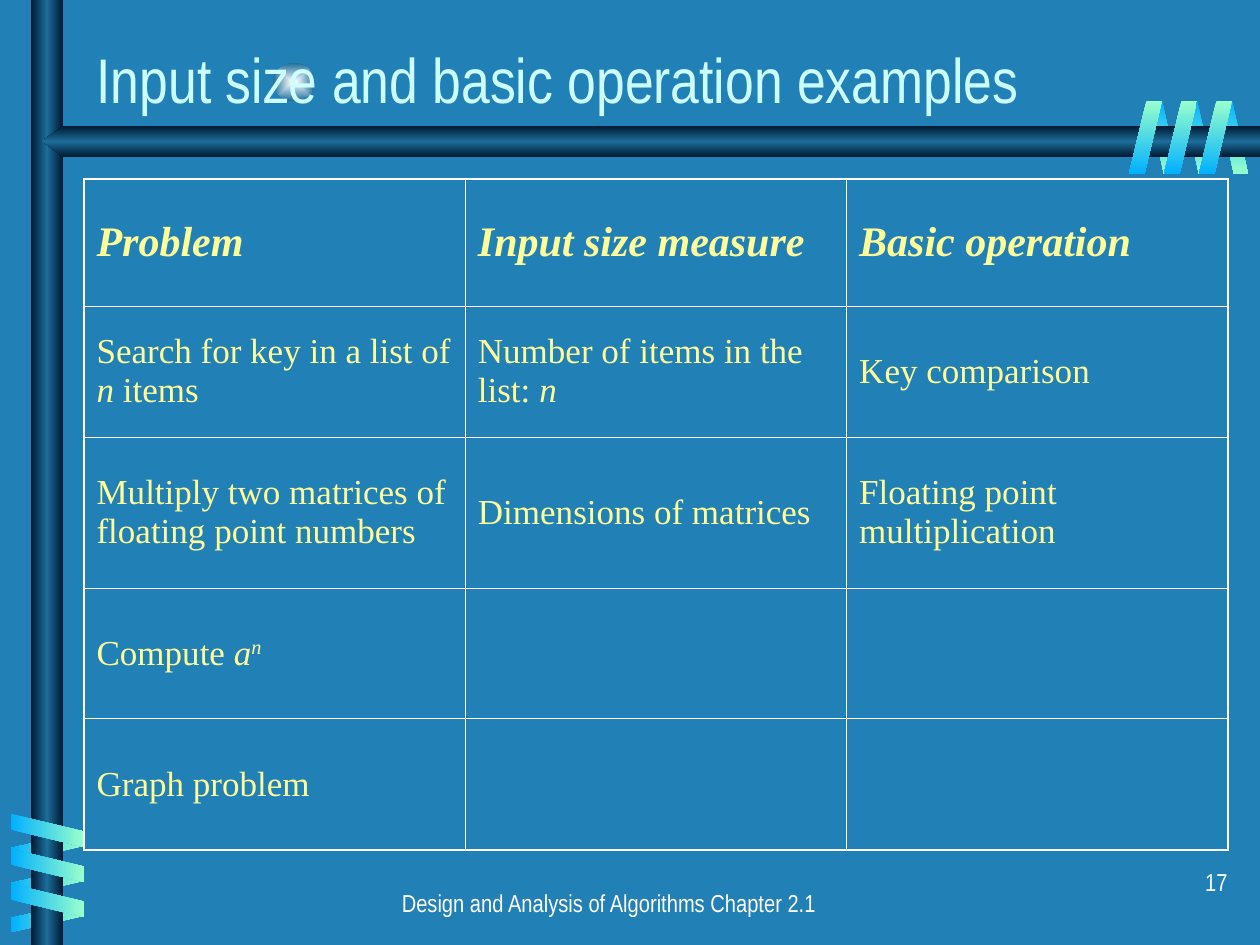
from lxml import etree
from pptx import Presentation
from pptx.dml.color import RGBColor
from pptx.enum.shapes import MSO_SHAPE
from pptx.enum.text import MSO_ANCHOR, MSO_AUTO_SIZE, PP_ALIGN
from pptx.oxml.ns import qn
from pptx.util import Pt

OVAL, RECT, SLANT = MSO_SHAPE.OVAL, MSO_SHAPE.RECTANGLE, MSO_SHAPE.PARALLELOGRAM
MIDDLE, BOTTOM = MSO_ANCHOR.MIDDLE, MSO_ANCHOR.BOTTOM
LEFT, CENTER, RIGHT = PP_ALIGN.LEFT, PP_ALIGN.CENTER, PP_ALIGN.RIGHT
NONE = MSO_AUTO_SIZE.NONE

PX = 914400 / 126
SANS, SERIF = "Arial Narrow", "Times New Roman"
BLUE, WHITE, CYAN, CREAM = "2181B7", "FFFFFF", "CCFFFF", "FFFF99"
SKY, MINT = "01B0FF", "99FFCC"
TUBE = ["001932", "1C6D9A", "001932"]
ROWS = [
    ("Problem", "Input size measure", "Basic operation"),
    ("Search for key in a list of *n* items",
     "Number of items in the list: *n*", "Key comparison"),
    ("Multiply two matrices of floating point numbers",
     "Dimensions of matrices", "Floating point multiplication"),
    ("Compute *a*^n", "", ""),
    ("Graph problem", "", ""),
]
TALL = [127, 131, 151, 131, 131]


def emu(*vals):
    return [round(v * PX) for v in vals]


def color(code):
    return RGBColor.from_string(code)


def style(font, face, size, code):
    font.name, font.size = face, Pt(size)
    font.color.rgb = color(code)


def grade(shape, codes, ang=None):
    shape.shadow.inherit = False
    shape.line.fill.background()
    shape.fill.gradient()
    grad = shape._element.spPr.find(qn("a:gradFill"))
    grad.set("rotWithShape", "0")
    for kid in list(grad):
        grad.remove(kid)
    stops = etree.SubElement(grad, qn("a:gsLst"))
    for i, code in enumerate(codes):
        stop = etree.SubElement(stops, qn("a:gs"), pos=str(100000 * i // (len(codes) - 1)))
        etree.SubElement(stop, qn("a:srgbClr"), val=code)
    if ang is None:
        way = etree.SubElement(grad, qn("a:path"), path="rect")
        etree.SubElement(way, qn("a:fillToRect"), l="50000", t="50000", r="50000", b="50000")
    else:
        etree.SubElement(grad, qn("a:lin"), ang=str(ang * 60000), scaled="0")


def coil(slide, box, step, turn, codes, ang, flip=False):
    x, y, w, h = box
    dx, dy = step
    for i in range(3):
        band = slide.shapes.add_shape(SLANT, *emu(x + i * dx, y + i * dy, w, h))
        band.adjustments[0] = 0.53
        band.rotation = turn
        if flip:
            band._element.spPr.find(qn("a:xfrm")).set("flipH", "1")
        grade(band, codes, ang)


def beam(slide, box):
    x, y, w, h = box
    tip = 21
    path = slide.shapes.build_freeform(w, 0, scale=PX)
    path.add_line_segments([(tip, 0), (0, h // 2), (tip, h), (w, h)], close=True)
    grade(path.convert_to_shape(*emu(x, y)), TUBE, 90)


def decor(slide):
    grade(slide.shapes.add_shape(OVAL, *emu(273, 63, 42, 38)), ["FEFFFF", "1C6D9A"])
    coil(slide, (1148, 101, 30, 73), (35, 0), 180, [SKY, MINT], 90, True)
    coil(slide, (32, 811, 30, 72), (0, 35), 90, [MINT, SKY], 0, True)
    grade(slide.shapes.add_shape(RECT, *emu(31, 0, 32, 945)), TUBE, 0)
    beam(slide, (42, 126, 1218, 31))
    coil(slide, (31, 794, 33, 73), (0, 35), 270, [SKY, MINT], 0)
    coil(slide, (1129, 101, 33, 73), (35, 0), 0, [MINT, SKY], 90)


def note(slide, box, text, align):
    frame = slide.shapes.add_textbox(*emu(*box)).text_frame
    frame.word_wrap = True
    frame.text = text
    para = frame.paragraphs[0]
    para.alignment = align
    para.space_before = Pt(8.8)
    style(para.runs[0].font, SANS, 14, WHITE)


def head(slide, box, text):
    title = slide.shapes.title
    title.left, title.top, title.width, title.height = emu(*box)
    slide.shapes._spTree.append(title._element)
    frame = title.text_frame
    frame.text = text
    frame.auto_size = NONE
    frame.vertical_anchor = BOTTOM
    para = frame.paragraphs[0]
    para.alignment = LEFT
    style(para.runs[0].font, SANS, 36, CYAN)


def edge(cell, side, width):
    line = etree.Element(qn("a:ln" + side), w=str(Pt(width)))
    fill = etree.SubElement(line, qn("a:solidFill"))
    etree.SubElement(fill, qn("a:srgbClr"), val=WHITE)
    return line


def write(cell, text, top):
    para = cell.text_frame.paragraphs[0]
    para.space_before = Pt(6 if top else 5)
    base, _, power = text.partition("^")
    parts = [(part, i % 2 == 1) for i, part in enumerate(base.split("*"))]
    for part, slant in parts + [(power, True)]:
        if part:
            run = para.add_run()
            run.text = part
            style(run.font, SERIF, 24 if top else 20, CREAM)
            run.font.bold = top
            run.font.italic = top or slant
    if power:
        para.runs[-1].font._element.set("baseline", "30000")


def grid(slide, box):
    last, end = len(ROWS) - 1, len(ROWS[0]) - 1
    table = slide.shapes.add_table(last + 1, end + 1, *emu(*box)).table
    table.first_row = table.horz_banding = False
    for col in table.columns:
        col.width = emu(box[2] / (end + 1))[0]
    for r, texts in enumerate(ROWS):
        table.rows[r].height = emu(TALL[r])[0]
        for c, text in enumerate(texts):
            cell = table.cell(r, c)
            cell.vertical_anchor = MIDDLE
            cell.fill.background()
            outer = {"L": c == 0, "R": c == end, "T": r == 0, "B": r == last}
            for i, (side, rim) in enumerate(outer.items()):
                line = edge(cell, side, 1.08 if rim else 0.45)
                cell._tc.get_or_add_tcPr().insert(i, line)
            write(cell, text, r == 0)


def main():
    deck = Presentation()
    deck.slide_width, deck.slide_height = emu(1260, 945)
    slide = deck.slides.add_slide(deck.slide_layouts[5])
    slide.background.fill.solid()
    slide.background.fill.fore_color.rgb = color(BLUE)
    decor(slide)
    note(slide, (168, 882, 882, 63), "Design and Analysis of Algorithms Chapter 2.1", CENTER)
    note(slide, (978, 861, 262, 63), "17", RIGHT)
    head(slide, (84, 28, 1176, 94), "Input size and basic operation examples")
    grid(slide, (84, 179, 1144, sum(TALL)))
    deck.save("out.pptx")


if __name__ == "__main__":
    main()
